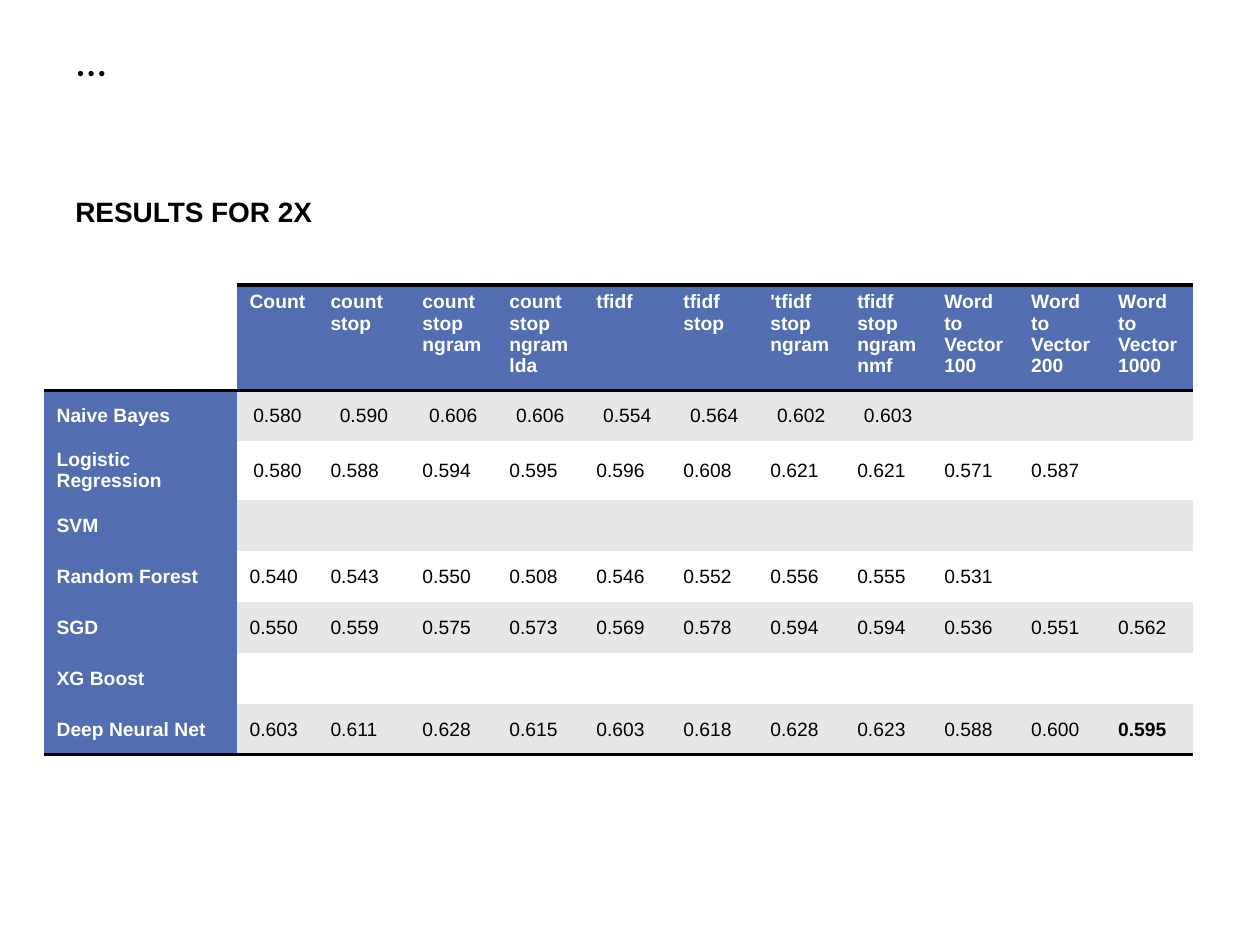
from lxml.etree import SubElement
from pptx import Presentation
from pptx.dml.color import RGBColor
from pptx.enum.text import MSO_ANCHOR, PP_ALIGN
from pptx.oxml.ns import qn
from pptx.util import Emu, Pt

PX = 914400 // 126
BLACK, WHITE, BLUE, GRAY = "000000", "FFFFFF", "526DB0", "E7E7E7"
PLAIN_STYLE = "{2D5ABB26-0587-4C30-8999-92F81FD0307C}"

FEATURES = [
    "", "Count", "count stop", "count stop ngram", "count stop ngram lda",
    "tfidf", "tfidf stop", "'tfidf stop ngram", "tfidf stop ngram nmf",
    "Word to Vector\v100", "Word to Vector\v200", "Word to Vector\v1000",
]
SCORES = {
    "Naive Bayes": "0.580 0.590 0.606 0.606 0.554 0.564 0.602 0.603",
    "Logistic Regression": "0.580 0.588 0.594 0.595 0.596 0.608 0.621 0.621 0.571 0.587",
    "SVM": "",
    "Random Forest": "0.540 0.543 0.550 0.508 0.546 0.552 0.556 0.555 0.531",
    "SGD": "0.550 0.559 0.575 0.573 0.569 0.578 0.594 0.594 0.536 0.551 0.562",
    "XG Boost": "",
    "Deep Neural Net": "0.603 0.611 0.628 0.615 0.603 0.618 0.628 0.623 0.588 0.600 0.595",
}
COLUMN_WIDTHS = [193, 81, 92] + [87] * 9
ROW_HEIGHT = 51


def px(length):
    return Emu(length * PX)


def color(value):
    return RGBColor.from_string(value)


def style_font(font, name, size, value, bold=False):
    font.name = name
    font.size = Pt(size)
    font.bold = bold
    font.color.rgb = color(value)


def add_text(slide, text, left, top, width, height, name, size, bold=False):
    frame = slide.shapes.add_textbox(px(left), px(top), px(width), px(height)).text_frame
    frame.word_wrap = True
    paragraph = frame.paragraphs[0]
    paragraph.text = text
    style_font(paragraph.font, name, size, BLACK, bold)
    return paragraph


def add_border(cell, side):
    line = SubElement(cell._tc.get_or_add_tcPr(), qn(f"a:ln{side}"), w=str(Pt(2)))
    fill = SubElement(line, qn("a:solidFill"))
    SubElement(fill, qn("a:srgbClr"), val=BLACK)


def fill_cell(cell, text, background, text_color, bold, borders=""):
    for side in borders:
        add_border(cell, side)
    cell.fill.solid()
    cell.fill.fore_color.rgb = color(background)
    paragraph = cell.text_frame.paragraphs[0]
    paragraph.text = text
    style_font(paragraph.font, "Arial", 11, text_color, bold)
    return paragraph


def add_results(slide, left, top):
    row_count = len(SCORES) + 1
    table = slide.shapes.add_table(
        row_count, len(FEATURES), px(left), px(top),
        px(sum(COLUMN_WIDTHS)), px(ROW_HEIGHT * row_count),
    ).table
    table.first_row = table.horz_banding = False
    table._tbl.tblPr.find(qn("a:tableStyleId")).text = PLAIN_STYLE
    for column, width in zip(table.columns, COLUMN_WIDTHS):
        column.width = px(width)
    for row in table.rows:
        row.height = px(ROW_HEIGHT)

    for j, feature in enumerate(FEATURES):
        fill_cell(table.cell(0, j), feature, BLUE if j else WHITE, WHITE, True,
                  "TB" if j else "B")

    for i, (model, scores) in enumerate(SCORES.items(), 1):
        last_row = i == len(SCORES)
        values = scores.split()
        values += [""] * (len(FEATURES) - 1 - len(values))
        for j, text in enumerate([model] + values):
            cell = table.cell(i, j)
            cell.vertical_anchor = MSO_ANCHOR.MIDDLE
            borders = "B" if last_row else ""
            if j == 0:
                fill_cell(cell, text, BLUE, WHITE, True, borders)
                continue
            best_known = last_row and j == len(FEATURES) - 1
            score = fill_cell(cell, text, GRAY if i % 2 else WHITE, BLACK,
                              best_known, borders)
            if i == 1 or (i, j) == (2, 1):
                score.alignment = PP_ALIGN.CENTER


def main():
    deck = Presentation()
    deck.slide_width, deck.slide_height = px(1260), px(945)
    slide = deck.slides.add_slide(deck.slide_layouts[6])
    title = add_text(slide, "…", 63, 21, 1110, 144, "Montserrat", 28)
    title.runs[0].font._element.set("spc", "-60")
    add_text(slide, "RESULTS FOR 2X", 63, 188, 1110, 87, "Arial", 16, True)
    add_results(slide, 44, 285)
    deck.save("out.pptx")


if __name__ == "__main__":
    main()
